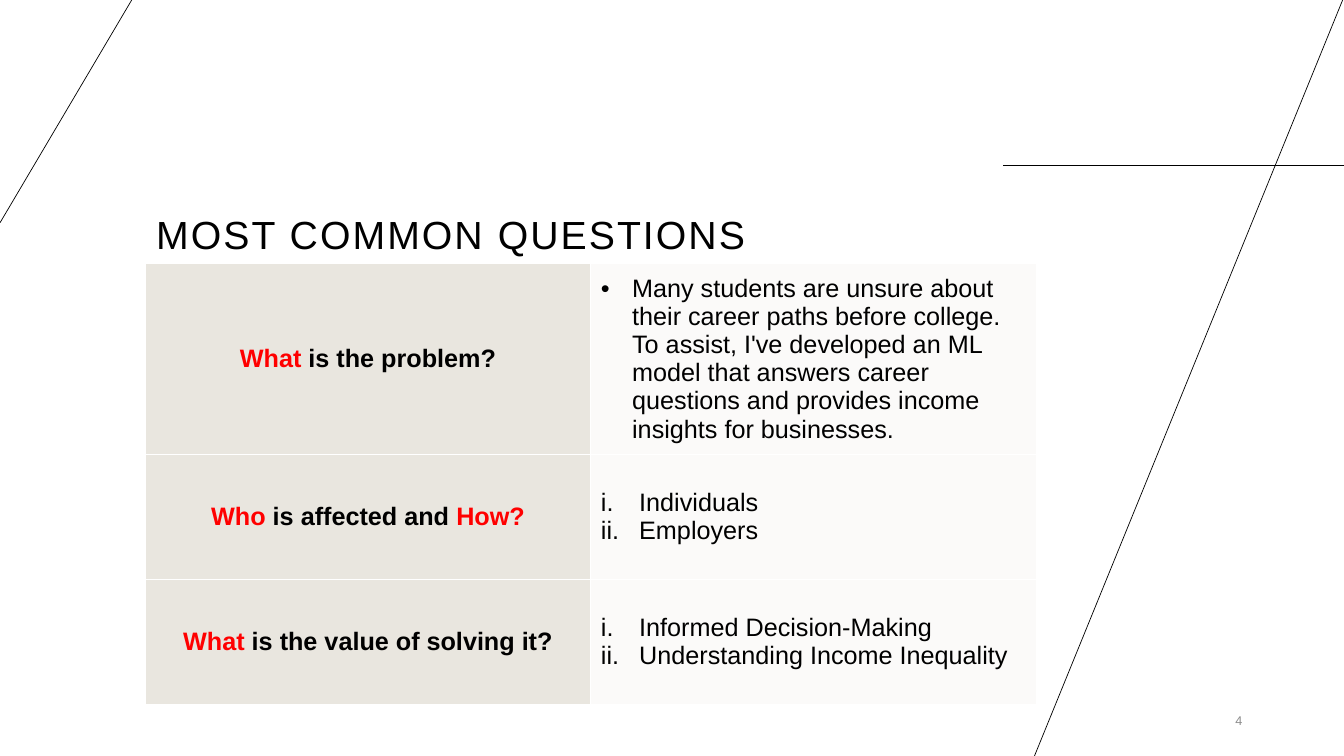
from lxml import etree
from pptx import Presentation
from pptx.dml.color import RGBColor
from pptx.enum.shapes import MSO_CONNECTOR
from pptx.enum.text import MSO_ANCHOR, PP_ALIGN
from pptx.oxml.ns import qn
from pptx.util import Inches, Pt

LINE = MSO_CONNECTOR.STRAIGHT
MIDDLE, BOTTOM = MSO_ANCHOR.MIDDLE, MSO_ANCHOR.BOTTOM
LEFT, CENTER, RIGHT = PP_ALIGN.LEFT, PP_ALIGN.CENTER, PP_ALIGN.RIGHT
WIDTH, HEIGHT = Inches(13.33), Inches(7.5)
BLACK, WHITE, RED, GREY = "000000", "FFFFFF", "FF0000", "8C8C8C"
QUESTION_FILL, ANSWER_FILL = "E9E6DF", "FBFAF9"

# Ends of each line, in percent of the slide's width and height
LINES = [
    (74.64, 21.87, 100, 21.87),
    (99.9, 0, 76.97, 100),
    (0, 29.47, 9.8, 0),
]

# Question runs, list kind, answers
QUESTIONS = [
    ([("What ", RED), ("is the problem?", BLACK)], "bullet",
     ["Many students are unsure about their career paths before college. "
      "To assist, I've developed an ML model that answers career questions "
      "and provides income insights for businesses."]),
    ([("Who ", RED), ("is affected and ", BLACK), ("How?", RED)], "roman",
     ["Individuals", "Employers"]),
    ([("What ", RED), ("is the value of solving it?", BLACK)], "roman",
     ["Informed Decision-Making", "Understanding Income Inequality"]),
]
LISTS = {
    "bullet": (0.31, "a:buChar", {"char": "•"}),
    "roman": (0.38, "a:buAutoNum", {"type": "romanLcPeriod"}),
}
ROW_SHARES = [25, 16.53, 16.53]
COLUMN_SHARE = 33.16


def color(value):
    return RGBColor.from_string(value)


def x(percent):
    return round(WIDTH * percent / 100)


def y(percent):
    return round(HEIGHT * percent / 100)


def add_run(p, text, fill, **formats):
    r = p.add_run()
    r.text = text
    for name, value in {"name": "Arial", "bold": False, **formats}.items():
        setattr(r.font, name, value)
    r.font.color.rgb = color(fill)
    return r


def add_line(s, x1, y1, x2, y2):
    line = s.shapes.add_connector(LINE, x(x1), y(y1), x(x2), y(y2))
    line.line.color.rgb = color(BLACK)
    line.line.width = Pt(0.5)
    etree.SubElement(line._element.spPr, qn("a:effectLst"))


def add_text(s, box, text, fill, size, anchor, align):
    left, top, width, height = box
    sp = s.shapes.add_textbox(x(left), y(top), x(width), y(height))
    tf = sp.text_frame
    tf.word_wrap = True
    tf.vertical_anchor = anchor
    p = tf.paragraphs[0]
    p.alignment = align
    return p, add_run(p, text, fill, size=Pt(size))


def add_list_mark(p, kind):
    indent, tag, attributes = LISTS[kind]
    pPr = p._p.get_or_add_pPr()
    pPr.set("marL", str(Inches(indent)))
    pPr.set("indent", str(-Inches(indent)))
    etree.SubElement(pPr, qn("a:buFont"), typeface="Arial")
    etree.SubElement(pPr, qn(tag), attributes)


def format_cell(cell, fill):
    """Give the cell white borders, a fill and middle anchoring."""
    tcPr = cell._tc.get_or_add_tcPr()
    for side in ("L", "R", "T", "B"):
        ln = etree.SubElement(tcPr, qn(f"a:ln{side}"), w=str(Pt(1)))
        solid = etree.SubElement(ln, qn("a:solidFill"))
        etree.SubElement(solid, qn("a:srgbClr"), val=WHITE)
    cell.fill.solid()
    cell.fill.fore_color.rgb = color(fill)
    cell.vertical_anchor = MIDDLE


def add_questions(s, left, top):
    frame = s.shapes.add_table(len(QUESTIONS), 2, x(left), y(top),
                               x(2 * COLUMN_SHARE), y(sum(ROW_SHARES)))
    table = frame.table
    table.first_row = table.horz_banding = False
    for column in table.columns:
        column.width = x(COLUMN_SHARE)
    for i, (question, kind, answers) in enumerate(QUESTIONS):
        table.rows[i].height = y(ROW_SHARES[i])
        asked, answered = table.cell(i, 0), table.cell(i, 1)
        format_cell(asked, QUESTION_FILL)
        format_cell(answered, ANSWER_FILL)
        p = asked.text_frame.paragraphs[0]
        p.alignment = CENTER
        for text, fill in question:
            add_run(p, text, fill, size=Pt(18), bold=True)
        tf = answered.text_frame
        for n, answer in enumerate(answers):
            p = tf.add_paragraph() if n else tf.paragraphs[0]
            add_list_mark(p, kind)
            add_run(p, answer, BLACK, size=Pt(18))


def main():
    prs = Presentation()
    prs.slide_width, prs.slide_height = WIDTH, HEIGHT
    s = prs.slides.add_slide(prs.slide_layouts[6])
    for ends in LINES:
        add_line(s, *ends)
    p, r = add_text(s, (10.88, 3.87, 59.79, 30.93),
                    "MOST COMMON QUESTIONS", BLACK, 28, BOTTOM, LEFT)
    p.line_spacing = 0.9
    r._r.get_or_add_rPr().set("spc", "150")
    add_text(s, (85.07, 92.67, 8.1, 5.33), "4", GREY, 9, MIDDLE, RIGHT)
    add_questions(s, 10.8, 34.8)
    prs.save("out.pptx")


if __name__ == "__main__":
    main()
